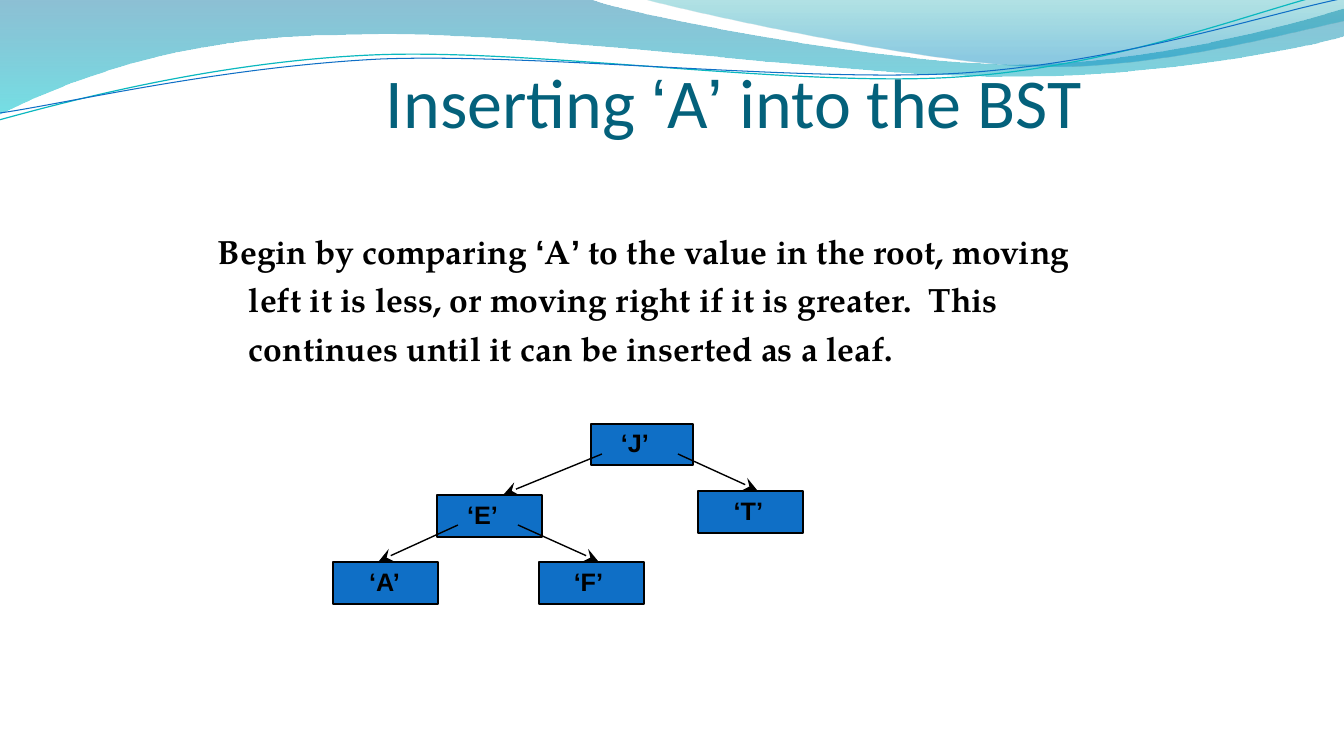
from lxml.etree import SubElement
from pptx import Presentation
from pptx.dml.color import RGBColor
from pptx.enum.shapes import MSO_CONNECTOR, MSO_SHAPE
from pptx.enum.text import MSO_ANCHOR, PP_ALIGN
from pptx.oxml.ns import qn
from pptx.util import Pt

EMU_PER_PX = 914400 / 100.8
COLORS = {
    "ink": "000000", "title": "04617B", "node": "0F6FC6",
    "teal line": "0AB8BF", "blue line": "0F6FC6",
    "band top": "0074A1", "band bottom": "00C6CF",
    "crest top": "00A1A9", "crest bottom": "008BBF",
}

# Outlines in px: two numbers end a straight side, six make a Bézier curve
BAND = [(0, 0), (592, 0), (639, 17, 892, 64, 1019, 64),
        (1147, 64, 1288, 26, 1344, 9), (1346, 36),
        (1321, 44, 1169, 77, 1002, 76), (836, 76, 513, 28, 346, 35),
        (173, 36, 61, 84, -1, 114)]
CREST = [(644, 0), (684, 11, 916, 62, 1033, 66),
         (1150, 70, 1292, 32, 1344, 21), (1344, 0)]
TEAL_WAVE = [(-1, 120), (65, 102, 213, 62, 372, 55),
             (531, 48, 796, 88, 958, 77), (1119, 67, 1262, 8, 1342, -10)]
BLUE_WAVE = [(0, 113), (64, 104, 220, 67, 381, 59),
             (541, 53, 802, 83, 963, 73), (1124, 62, 1265, 14, 1345, -2)]

# Tree: letter, box, room right of the letter; branches from parent to child
NODES = [("J", (591, 424, 102, 41), 14), ("E", (437, 495, 105, 42), 14),
         ("T", (698, 491, 105, 42), 4), ("A", (333, 562, 105, 42), 2),
         ("F", (539, 562, 105, 42), 6)]
BRANCHES = [(602, 454, 504, 494), (678, 454, 757, 490),
            (458, 525, 379, 561), (518, 525, 598, 561)]

TITLE_FONT = {"name": "Calibri", "size": Pt(50)}
BODY_FONT = {"name": "TeX Gyre Pagella", "size": Pt(24), "bold": True}
NODE_FONT = {"name": "Arial", "size": Pt(18), "bold": True}


def px(*lengths):
    return [round(length * EMU_PER_PX) for length in lengths]


def color(name):
    return RGBColor.from_string(COLORS[name])


def apply_format(target, values):
    for name, value in values.items():
        setattr(target, name, value)


def add_outline(slide, outline, close):
    """Build the corners and handles as lines, then bend them into curves."""
    start, *sides = outline
    builder = slide.shapes.build_freeform(*px(*start))
    builder.add_line_segments(
        [px(*side[i:i + 2]) for side in sides for i in range(0, len(side), 2)],
        close=close)
    shape = builder.convert_to_shape()
    shape.shadow.inherit = False

    segments = iter(list(shape.element.iter(qn("a:lnTo"))))
    for side in sides:
        segment = next(segments)
        if len(side) == 6:
            segment.tag = qn("a:cubicBezTo")
            for _ in range(2):
                following = next(segments)
                segment.append(following[0])
                following.getparent().remove(following)
    return shape


def add_swoosh(slide, outline, stops):
    swoosh = add_outline(slide, outline, close=True)
    swoosh.line.fill.background()
    swoosh.fill.gradient()
    swoosh.fill.gradient_angle = 270
    for stop, (position, name, _) in zip(swoosh.fill.gradient_stops, stops):
        stop.position = position
        stop.color.rgb = color(name)
    for tint, (_, _, opacity) in zip(
            swoosh.element.spPr.iter(qn("a:srgbClr")), stops):
        SubElement(tint, qn("a:alpha"), val=str(opacity * 1000))


def add_wave(slide, outline, name, width):
    wave = add_outline(slide, outline, close=False)
    wave.fill.background()
    wave.line.color.rgb = color(name)
    wave.line.width = Pt(width)


def add_runs(paragraph, text, font, ink):
    """Write the text, with its quotation marks in Arial."""
    pieces = [text]
    if font["name"] != "Arial":
        pieces = text.replace("‘", "|‘|").replace("’", "|’|").split("|")
    for piece in pieces:
        run = paragraph.add_run()
        run.text = piece
        apply_format(run.font, font)
        run.font.color.rgb = color(ink)
        if piece in "‘’":
            run.font.name = "Arial"


def add_text(slide, box, text, font, ink, frame_format, paragraph_format):
    frame = slide.shapes.add_textbox(*px(*box)).text_frame
    apply_format(frame, {"word_wrap": True, **frame_format})
    paragraph = frame.paragraphs[0]
    apply_format(paragraph, paragraph_format)
    add_runs(paragraph, text, font, ink)
    return paragraph


def add_node(slide, letter, box, room):
    node = slide.shapes.add_shape(MSO_SHAPE.RECTANGLE, *px(*box))
    node.shadow.inherit = False
    node.fill.solid()
    node.fill.fore_color.rgb = color("node")
    node.line.color.rgb = color("ink")
    node.line.width = Pt(1)
    frame = node.text_frame
    right, bottom = px(room, 4)
    apply_format(frame, {"margin_left": 0, "margin_right": right,
                         "margin_top": 0, "margin_bottom": bottom,
                         "vertical_anchor": MSO_ANCHOR.MIDDLE})
    frame.paragraphs[0].alignment = PP_ALIGN.CENTER
    add_runs(frame.paragraphs[0], f"‘{letter}’", NODE_FONT, "ink")


def add_branch(slide, ends):
    branch = slide.shapes.add_connector(MSO_CONNECTOR.STRAIGHT, *px(*ends))
    branch.line.color.rgb = color("ink")
    branch.line.width = Pt(1)
    SubElement(branch.element.spPr.find(qn("a:ln")), qn("a:tailEnd"),
               type="stealth", w="lg", len="lg")
    SubElement(branch.element.spPr, qn("a:effectLst"))


def main():
    deck = Presentation()
    deck.slide_width, deck.slide_height = px(1344, 756)
    slide = deck.slides.add_slide(deck.slide_layouts[6])

    # Waves along the top edge
    add_swoosh(slide, BAND, [(0, "band top", 45), (1, "band bottom", 55)])
    add_swoosh(slide, CREST, [(0, "crest top", 30), (0.8, "crest bottom", 45)])
    add_wave(slide, TEAL_WAVE, "teal line", 0.85)
    add_wave(slide, BLUE_WAVE, "blue line", 0.75)

    # Explanation and title
    explanation = add_text(
        slide, (208, 218, 895, 153),
        "Begin by comparing ‘A’ to the value in the root, moving left it is "
        "less, or moving right if it is greater.  This continues until it can "
        "be inserted as a leaf.",
        BODY_FONT, "ink", {}, {"line_spacing": 1.2})
    indent, = px(31)
    properties = explanation._p.get_or_add_pPr()
    properties.set("marL", str(indent))
    properties.set("indent", str(-indent))
    add_text(slide, (386, 33, 756, 109), "Inserting ‘A’ into the BST",
             TITLE_FONT, "title",
             {"margin_left": 0, "margin_right": 0, "margin_bottom": 0,
              "vertical_anchor": MSO_ANCHOR.BOTTOM}, {})

    # Binary search tree
    for letter, box, room in NODES:
        add_node(slide, letter, box, room)
    for ends in BRANCHES:
        add_branch(slide, ends)

    deck.save("out.pptx")


if __name__ == "__main__":
    main()
